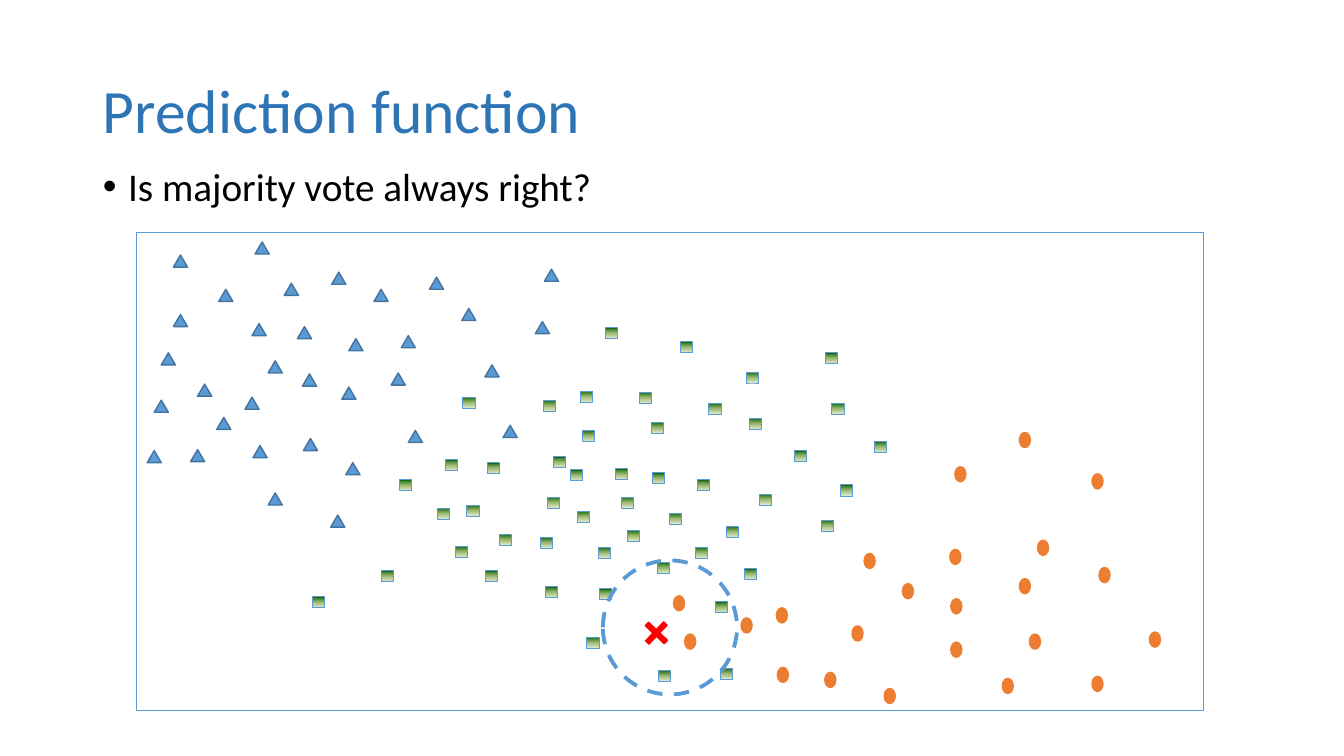
from copy import deepcopy
from dataclasses import dataclass

from pptx import Presentation
from pptx import util as u
from pptx.dml import color
from pptx.enum import dml, shapes, text
from pptx.oxml import ns

COLUMNS, ROWS = 1333, 750


@dataclass(frozen=True)
class Theme:
    font: str = "Calibri"
    title_size: int = 44
    body_size: int = 28
    title: str = "2E75B6"
    body: str = "000000"
    accent: str = "5B9BD5"
    triangle_line: str = "43739E"
    orange: str = "ED7D31"
    red: str = "FF0000"
    greens: tuple = ("DDEBCF", "9CB86E", "156B13")


class Deck:
    def __init__(self, theme):
        self.theme = theme
        self.prs = Presentation()
        self.prs.slide_width, self.prs.slide_height = u.Inches(13.33), u.Inches(7.5)
        self.s = self.prs.slides.add_slide(self.prs.slide_layouts[1])

    def box(self, col, row, cols, rows):
        col_width = self.prs.slide_width / COLUMNS
        row_height = self.prs.slide_height / ROWS
        return [round(n) for n in (col * col_width, row * row_height,
                                   cols * col_width, rows * row_height)]

    def placeholder(self, sp, box, words, size, rgb, anchor):
        sp.left, sp.top, sp.width, sp.height = self.box(*box)
        tf = sp.text_frame
        tf.text = words
        tf.vertical_anchor = anchor
        p = tf.paragraphs[0]
        p.alignment = text.PP_ALIGN.LEFT
        p.line_spacing = 0.9
        r = p.runs[0]
        r.font.name, r.font.size = self.theme.font, u.Pt(size)
        r.font.color.rgb = color.RGBColor.from_string(rgb)
        return p

    def title(self, words, box):
        self.placeholder(self.s.shapes.title, box, words, self.theme.title_size,
                         self.theme.title, text.MSO_ANCHOR.MIDDLE)

    def bullet(self, words, box):
        p = self.placeholder(self.s.placeholders[1], box, words, self.theme.body_size,
                             self.theme.body, text.MSO_ANCHOR.TOP)
        p.space_before = u.Pt(10)
        pPr = p._p.get_or_add_pPr()
        pPr.set("marL", str(u.Inches(0.25)))
        pPr.set("indent", str(-u.Inches(0.25)))

    def shape(self, kind, box, line, width, fill=None):
        sp = self.s.shapes.add_shape(kind, *self.box(*box))
        sp.shadow.inherit = False
        sp.line.color.rgb = color.RGBColor.from_string(line)
        sp.line.width = u.Pt(width)
        if isinstance(fill, tuple):
            self.gradient(sp, fill)
        elif fill:
            sp.fill.solid()
            sp.fill.fore_color.rgb = color.RGBColor.from_string(fill)
        else:
            sp.fill.background()
        return sp

    def gradient(self, sp, shades):
        sp.fill.gradient()
        sp.fill.gradient_angle = 90
        stops = sp._element.spPr.find(".//" + ns.qn("a:gsLst"))
        stops.append(deepcopy(stops[0]))
        for i, (stop, shade) in enumerate(zip(sp.fill.gradient_stops, shades)):
            stop.position = i / (len(shades) - 1)
            stop.color.rgb = color.RGBColor.from_string(shade)

    def scatter(self, kind, points, size, line, width, fill):
        for point in points:
            self.shape(kind, (*point, *size), line, width, fill)

    def neighbourhood(self, box):
        sp = self.shape(shapes.MSO_SHAPE.OVAL, box, self.theme.accent, 2.75)
        sp.line.dash_style = dml.MSO_LINE.DASH

    def query_mark(self, box):
        sp = self.shape(shapes.MSO_SHAPE.CROSS, box, self.theme.red, 1, self.theme.red)
        sp.adjustments[0] = 0.41
        sp.rotation = 43.7


SQUARES = [
    (543, 493), (536, 533), (495, 530), (566, 466), (622, 526), (709, 597), (616, 493),
    (541, 582), (463, 501), (483, 459), (481, 566), (610, 465), (549, 453), (594, 584),
    (452, 542), (442, 456), (434, 504), (578, 427), (652, 558), (692, 476), (664, 509),
    (647, 469), (646, 419), (378, 566), (819, 350), (690, 543), (573, 507), (593, 543),
    (738, 564), (675, 339), (753, 490), (310, 592), (833, 481), (720, 522), (743, 415),
    (867, 438), (396, 476), (815, 516), (788, 447), (459, 394), (576, 388), (539, 397),
    (634, 389), (600, 325), (582, 632), (703, 400), (653, 665), (825, 400), (714, 663),
    (740, 369),
]
TRIANGLES = [
    (217, 287), (172, 312), (250, 321), (160, 350), (481, 362), (282, 281), (172, 253),
    (243, 394), (196, 381), (266, 358), (253, 240), (153, 397), (301, 435), (346, 336),
    (146, 447), (295, 324), (215, 414), (189, 446), (251, 442), (339, 384), (329, 270),
    (266, 489), (328, 511), (371, 287), (300, 371), (343, 459), (405, 427), (398, 333),
    (426, 275), (458, 306), (388, 370), (540, 267), (531, 319), (499, 422),
]
OVALS = [
    (943, 594), (1011, 429), (943, 637), (1140, 627), (735, 613), (1011, 574), (770, 603),
    (895, 579), (1021, 629), (771, 662), (994, 673), (679, 629), (1083, 671), (1090, 563),
    (845, 621), (942, 545), (1029, 536), (668, 591), (818, 667), (1083, 470), (857, 549),
    (947, 463), (877, 683),
]


def main():
    theme = Theme()
    kinds = shapes.MSO_SHAPE
    deck = Deck(theme)
    deck.title("Prediction function", (92, 40, 1150, 145))
    deck.bullet("Is majority vote always right?", (92, 161, 1150, 476))
    deck.scatter(kinds.RECTANGLE, SQUARES, (12, 11), theme.accent, 0.5, theme.greens)
    deck.neighbourhood((598, 556, 133, 133))
    deck.shape(kinds.RECTANGLE, (135, 231, 1059, 474), theme.accent, 0.5)
    deck.scatter(kinds.ISOSCELES_TRIANGLE, TRIANGLES, (14, 12),
                 theme.triangle_line, 1, theme.accent)
    deck.scatter(kinds.OVAL, OVALS, (11, 15), theme.orange, 1, theme.orange)
    deck.query_mark((638, 615, 26, 26))
    deck.prs.save("out.pptx")


if __name__ == "__main__":
    main()
